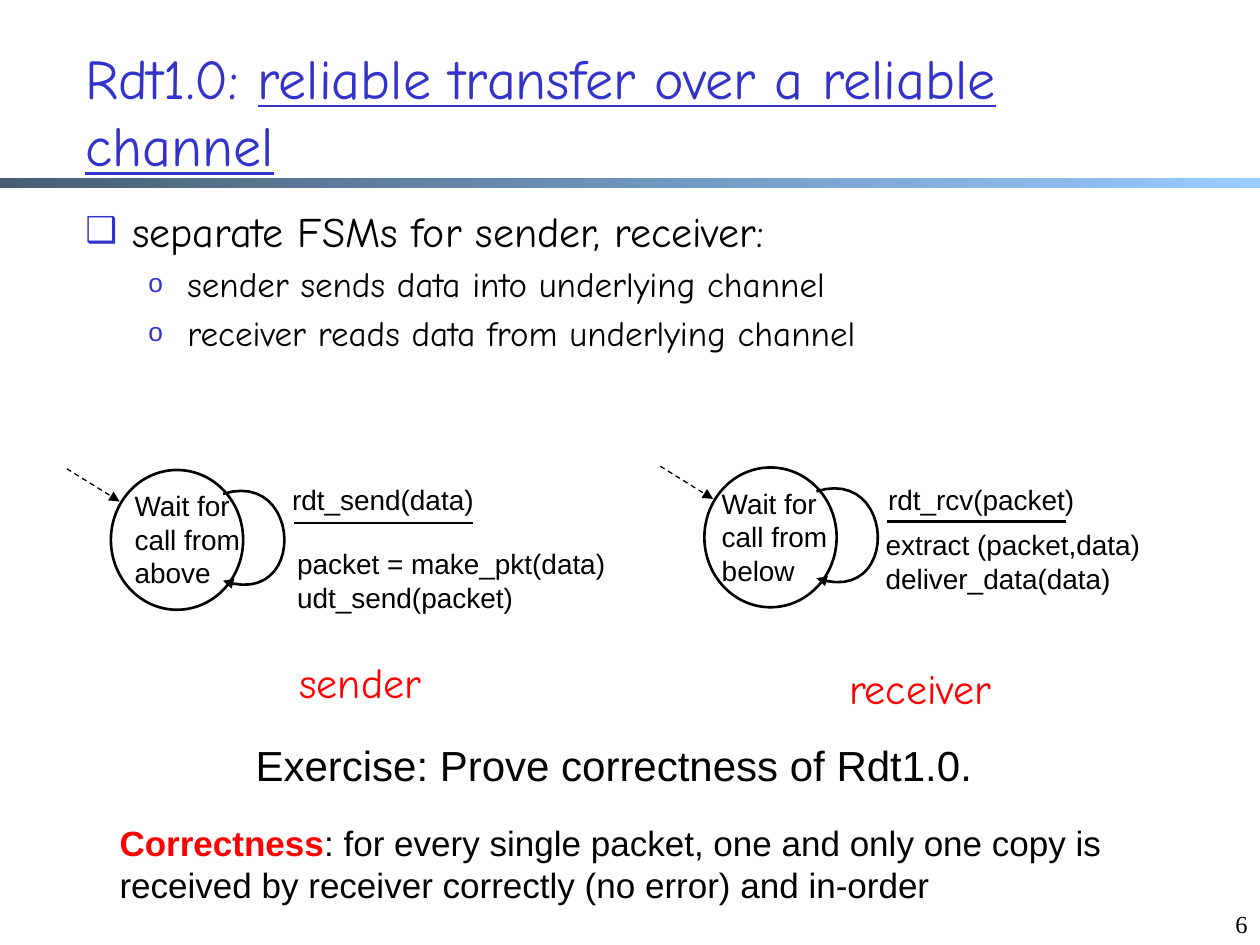
import pptx
import pptx.util
import pptx.dml.color
import pptx.enum.dml
import pptx.enum.shapes
import pptx.enum.text
import pptx.oxml
import pptx.oxml.ns

PX = 9144
INK = {"black": "000000", "white": "FFFFFF", "blue": "3333CC", "red": "FF0000",
       "dusk": "475E76", "sky": "99CCFF"}
COMIC, ARIAL, TIMES = "Comic Neue", "Arial", "Times New Roman"
KIND = pptx.enum.shapes.MSO_SHAPE
ANCHOR = pptx.enum.text.MSO_ANCHOR
ALIGN = pptx.enum.text.PP_ALIGN


def emu(*sizes):
    """Turn px lengths into EMU."""
    return [round(size * PX) for size in sizes]


def hue(name):
    """Look up a named colour."""
    return pptx.dml.color.RGBColor.from_string(INK[name])


def append(node, tag, **attrs):
    """Add a DrawingML child with the given attributes."""
    child = pptx.oxml.parse_xml(f"<a:{tag} {pptx.oxml.ns.nsdecls('a')}/>")
    for key, value in attrs.items():
        child.set(key, value)
    node.append(child)
    return child


def style(run, size, font, color):
    """Set the size, face and colour of a run."""
    run.font.size = pptx.util.Pt(size)
    run.font.name = font
    run.font.color.rgb = hue(color)


def write(slide, box, text, size, font, color="black", wrap=True):
    """Place a text box whose lines share one style."""
    frame = slide.shapes.add_textbox(*emu(*box)).text_frame
    frame.word_wrap = wrap
    frame.text = text
    for para in frame.paragraphs:
        for run in para.runs:
            style(run, size, font, color)
    return frame


def extend(frame, text, size, font, color):
    """Add a styled run to the first paragraph."""
    run = frame.paragraphs[0].add_run()
    run.text = text
    style(run, size, font, color)
    return run


def stroke(shape, width):
    """Give a shape a plain black line."""
    shape.line.color.rgb = hue("black")
    shape.line.width = pptx.util.Pt(width)


def arrow(shape):
    """Put a triangle at the end of a line."""
    line = shape._element.spPr.find(pptx.oxml.ns.qn("a:ln"))
    append(line, "tailEnd", type="triangle")


def link(slide, ends, width):
    """Draw a straight line without a shadow."""
    line = slide.shapes.add_connector(
        pptx.enum.shapes.MSO_CONNECTOR.STRAIGHT, *emu(*ends))
    stroke(line, width)
    append(line._element.spPr, "effectLst")
    return line


def loop(slide, left, top):
    """Draw the curved transition back to the same state."""
    knots = [(0, 0), (63, -20), (67, 92), (0, 69)]
    points = []
    for step in range(25):
        t = step / 24
        parts = [(1 - t) ** 3, 3 * t * (1 - t) ** 2, 3 * t * t * (1 - t), t ** 3]
        points.append(emu(left + sum(p * x for p, (x, y) in zip(parts, knots)),
                          top + sum(p * y for p, (x, y) in zip(parts, knots))))
    pen = slide.shapes.build_freeform(*points[0], scale=1.0)
    pen.add_line_segments(points[1:], close=False)
    curve = pen.convert_to_shape()
    curve.shadow.inherit = False
    curve.fill.background()
    stroke(curve, 1.5)
    arrow(curve)


def header(slide, left, top, width, height):
    """Write the title above its gradient bar."""
    bar = slide.shapes.add_shape(KIND.RECTANGLE, *emu(left, top + 141, width, 8))
    bar.shadow.inherit = False
    bar.line.fill.background()
    bar.fill.gradient()
    bar.fill.gradient_angle = 0
    for stop, color in zip(bar.fill.gradient_stops, ("dusk", "sky")):
        stop.color.rgb = hue(color)
    frame = write(slide, (left + 58, top + 25, 875, height - 25), "Rdt1.0: ",
                  32, COMIC, "blue")
    frame.vertical_anchor = ANCHOR.MIDDLE
    extend(frame, "reliable transfer over a reliable channel",
           32, COMIC, "blue").font.underline = True


def outline(slide, box, items):
    """Write a bulleted list of two levels."""
    frame = write(slide, box, "\n".join(text for level, text in items), 24, COMIC)
    looks = [(24, 37, 37, "❑", "85000"), (20, 81, 31, "o", "75000")]
    for para, (level, text) in zip(frame.paragraphs, items):
        size, margin, hang, mark, share = looks[level]
        para.level = level
        para.runs[0].font.size = pptx.util.Pt(size)
        props = para._p.get_or_add_pPr()
        props.set("marL", str(margin * PX))
        props.set("indent", str(-hang * PX))
        append(append(props, "spcBef"), "spcPct", val="20000")
        append(append(props, "buClr"), "srgbClr", val=INK["blue"])
        append(props, "buSzPct", val=share)
        append(props, "buFont", typeface=ARIAL)
        append(props, "buChar", char=mark)


def machine(slide, left, top, rule, labels, name):
    """Draw a one-state machine with its transition labels."""
    state = slide.shapes.add_shape(KIND.OVAL, *emu(left + 35, top + 1, 105, 111))
    state.shadow.inherit = False
    state.fill.solid()
    state.fill.fore_color.rgb = hue("white")
    stroke(state, 1.5)
    loop(slide, left + 124, top + 20)
    link(slide, (left + 180, top + rule, left + 322, top + rule), 1.5)
    start = link(slide, (left, top, left + 42, top + 26), 0.75)
    start.line.dash_style = pptx.enum.dml.MSO_LINE.DASH
    arrow(start)
    for text, x, y, width, height in labels:
        write(slide, (left + x, top + y, width, height), text, 16, ARIAL)
    text, x, y, width = name
    write(slide, (left + x, top + y, width, 50), text, 24, COMIC, "red", False)


def closing(slide, left, top):
    """Write the exercise and the meaning of correctness."""
    write(slide, (left + 108, top, 594, 50),
          "Exercise: Prove correctness of Rdt1.0.", 24, ARIAL, wrap=False)
    frame = write(slide, (left, top + 65, 849, 77), "Correctness", 20, ARIAL, "red")
    frame.paragraphs[0].runs[0].font.bold = True
    extend(frame, ": for every single packet, one and only one copy is received "
           "by receiver correctly (no error) and in-order", 20, ARIAL, "black")


def number(slide, box, text):
    """Write the slide number in the corner."""
    frame = write(slide, box, text, 14, TIMES)
    frame.vertical_anchor = ANCHOR.BOTTOM
    frame.paragraphs[0].alignment = ALIGN.RIGHT


def main():
    """Build the slide and save it."""
    deck = pptx.Presentation()
    deck.slide_width, deck.slide_height = emu(1000, 750)
    slide = deck.slides.add_slide(deck.slide_layouts[6])
    header(slide, 0, 0, 1000, 150)
    number(slide, (767, 700, 233, 50), "6")
    outline(slide, (58, 158, 864, 143), [
        (0, "separate FSMs for sender, receiver:"),
        (1, "sender sends data into underlying channel"),
        (1, "receiver reads data from underlying channel")])
    machine(slide, 53, 372, 43, [
        ("Wait for call from above", 44, 11, 120, 100),
        ("rdt_send(data)", 169, 6, 247, 47),
        ("packet = make_pkt(data)\nudt_send(packet)", 173, 57, 293, 65)],
        ("sender", 175, 144, 126))
    machine(slide, 524, 370, 44, [
        ("Wait for call from below", 39, 11, 120, 100),
        ("rdt_rcv(packet)", 171, 8, 169, 37),
        ("extract (packet,data)\ndeliver_data(data)", 169, 44, 272, 47)],
        ("receiver", 140, 151, 149))
    closing(slide, 85, 582)
    deck.save("out.pptx")


if __name__ == "__main__":
    main()
